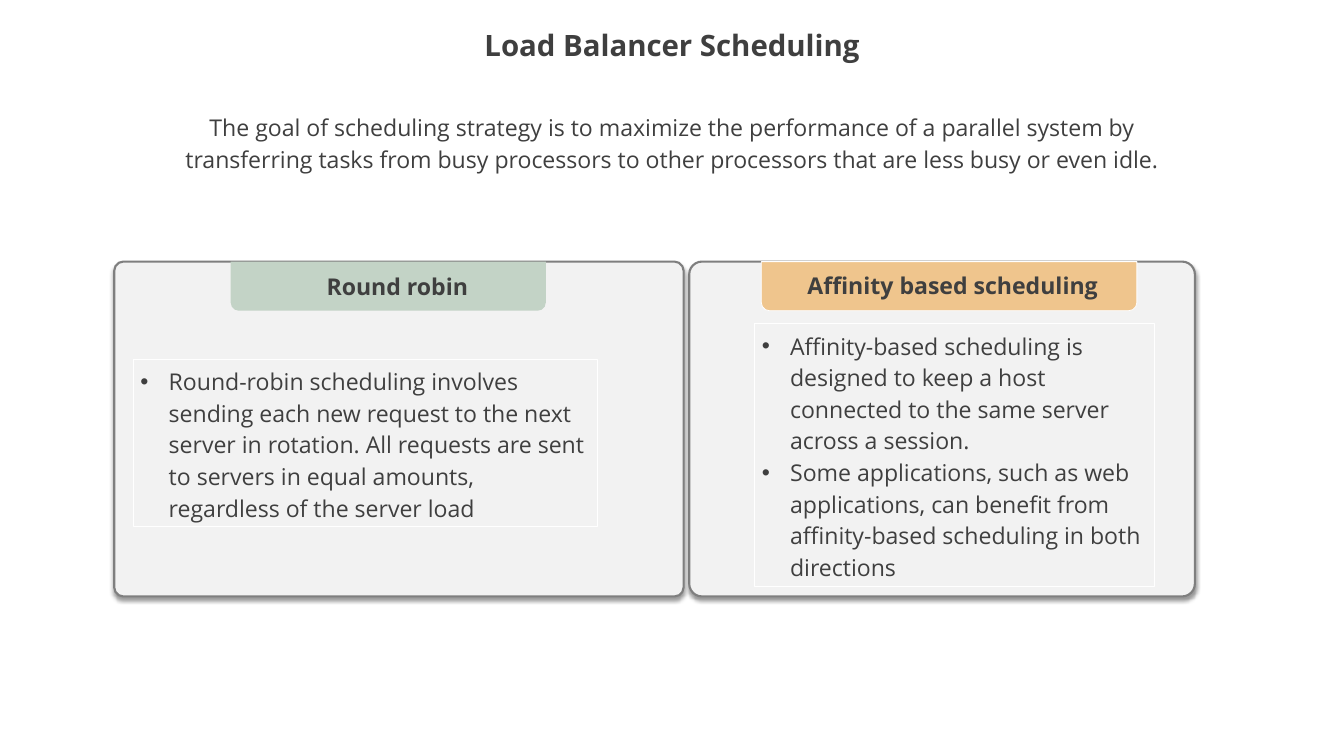
from lxml import etree
from pptx import Presentation
from pptx.dml.color import RGBColor
from pptx.enum.shapes import MSO_SHAPE as SHAPE
from pptx.enum.text import MSO_ANCHOR as ANCHOR, MSO_AUTO_SIZE as AUTO, PP_ALIGN as ALIGN
from pptx.oxml import parse_xml
from pptx.oxml.ns import nsdecls, qn
from pptx.util import Cm, Pt

INK = "3F3F3F"
SHADOW = (
    f'<a:outerShdw {nsdecls("a")} blurRad="{Pt(4)}" dist="{Pt(3)}" dir="5400000" '
    'algn="t" rotWithShape="0"><a:srgbClr val="000000"><a:alpha val="40000"/>'
    '</a:srgbClr></a:outerShdw>'
)


def write(sp, *texts, size=22, bold=False, align=ALIGN.CENTER, spacing=1.0,
          anchor=ANCHOR.TOP, bullet=False):
    """Fill a shape with one paragraph per text, all in the same format."""
    tf = sp.text_frame
    tf.word_wrap = True
    tf.auto_size = AUTO.NONE
    tf.vertical_anchor = anchor
    for i, text in enumerate(texts):
        p = tf.add_paragraph() if i else tf.paragraphs[0]
        pPr = p._p.get_or_add_pPr()
        indent = Cm(0.95) if bullet else 0
        pPr.set("marL", str(indent))
        pPr.set("indent", str(-indent))
        if bullet:
            color = etree.SubElement(pPr, qn("a:buClr"))
            etree.SubElement(color, qn("a:srgbClr"), val=INK)
            etree.SubElement(pPr, qn("a:buFont"), typeface="Arial")
            etree.SubElement(pPr, qn("a:buChar"), char="•")
        else:
            etree.SubElement(pPr, qn("a:buNone"))
        p.alignment = align
        p.line_spacing = spacing
        p.space_before = p.space_after = Pt(0)
        r = p.add_run()
        r.text = text
        r.font.name = "Open Sans"
        r.font.size = Pt(size)
        r.font.bold = bold
        r.font.color.rgb = RGBColor.from_string(INK)


def add_box(shapes, kind, box, fill=None, line=None, width=0.75):
    """Add a preset shape; box is left, top, width and height in cm."""
    sp = shapes.add_shape(kind, *map(Cm, box))
    sp.shadow.inherit = False
    if fill:
        sp.fill.solid()
        sp.fill.fore_color.rgb = RGBColor.from_string(fill)
    else:
        sp.fill.background()
    if line:
        sp.line.color.rgb = RGBColor.from_string(line)
        sp.line.width = Pt(width)
    else:
        sp.line.fill.background()
    return sp


prs = Presentation()
prs.slide_width, prs.slide_height = Cm(45.16), Cm(25.4)
s = prs.slides.add_slide(prs.slide_layouts[1])

title, body = s.placeholders
title.left, title.top, title.width, title.height = Cm(0), Cm(0.64), Cm(45.16), Cm(1.9)
write(title, "Load Balancer Scheduling", size=28, bold=True, spacing=0.9,
      anchor=ANCHOR.MIDDLE)

body.left, body.top, body.width, body.height = Cm(5.28), Cm(3.68), Cm(34.6), Cm(2.92)
write(body, "The goal of scheduling strategy is to maximize the performance of a "
      "parallel system by transferring tasks from busy processors to other "
      "processors that are less busy or even idle.", spacing=1.14)
body.text_frame.margin_top = body.text_frame.margin_bottom = 0

TOP, PANEL_H, TAB_H = 8.79, 11.25, 1.65
panels = [
    dict(left=23.16, width=16.99, corner=0.038,
         tab=(25.58, 12.62), color="EFC58D", tab_line="FFFFFF",
         heading="Affinity based scheduling", label=(26.42, 9.09, 11.18, 1.09),
         label_spacing=0.9, list_box=(25.35, 10.85, 13.44, 8.84),
         items=["Affinity-based scheduling is designed to keep a host connected "
                "to the same server across a session.",
                "Some applications, such as web applications, can benefit from "
                "affinity-based scheduling in both directions"]),
    dict(left=3.84, width=19.13, corner=0.027,
         tab=(7.75, 10.59), color="C3D3C6", tab_line=None,
         heading="Round robin", label=(8.97, 9.02, 8.76, 1.19),
         label_spacing=1.0, list_box=(4.47, 12.07, 15.6, 5.61),
         items=["Round-robin scheduling involves sending each new request to the "
                "next server in rotation. All requests are sent to servers in "
                "equal amounts, regardless of the server load"]),
]

for panel in panels:
    shapes = s.shapes.add_group_shape().shapes

    card = add_box(shapes, SHAPE.ROUNDED_RECTANGLE,
                   (panel["left"], TOP, panel["width"], PANEL_H), "F2F2F2", "7F7F7F", 2)
    card.adjustments[0] = panel["corner"]
    card._element.spPr.find(qn("a:effectLst")).append(parse_xml(SHADOW))

    list_box = add_box(shapes, SHAPE.RECTANGLE, panel["list_box"], line="FFFFFF")
    write(list_box, *panel["items"], align=ALIGN.LEFT, spacing=1.14,
          anchor=ANCHOR.MIDDLE, bullet=True)

    tab_left, tab_width = panel["tab"]
    tab = add_box(shapes, SHAPE.ROUND_2_SAME_RECTANGLE,
                  (tab_left, TOP, tab_width, TAB_H), panel["color"], panel["tab_line"])
    tab.rotation = 180

    label = shapes.add_textbox(*map(Cm, panel["label"]))
    write(label, panel["heading"], bold=True, spacing=panel["label_spacing"])

prs.save("out.pptx")
